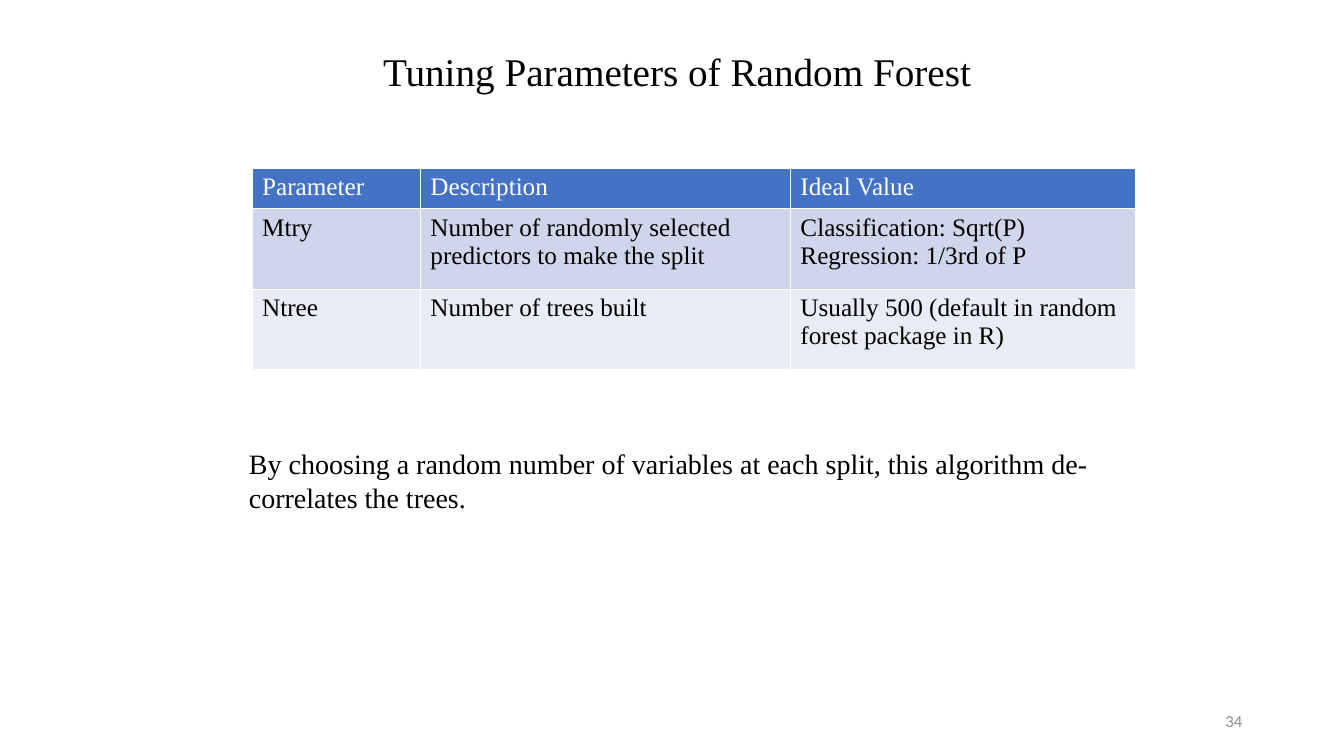
from typing import NamedTuple

from lxml import etree
from pptx import Presentation
from pptx.dml.color import RGBColor
from pptx.enum.text import MSO_ANCHOR, PP_ALIGN
from pptx.oxml.ns import qn
from pptx.util import Inches, Pt

LEFT, CENTER, RIGHT = PP_ALIGN.LEFT, PP_ALIGN.CENTER, PP_ALIGN.RIGHT
TOP, MIDDLE = MSO_ANCHOR.TOP, MSO_ANCHOR.MIDDLE
SERIF, SANS = "Times New Roman", "Calibri"
COLORS = {
    "black": "000000",
    "white": "FFFFFF",
    "gray": "8C8C8C",
    "head": "4472C4",
    "dark": "CFD5EA",
    "light": "E9EBF5",
}


class Label(NamedTuple):
    text: str
    left: float
    top: float
    width: float
    height: float
    size: int
    font: str = SERIF
    color: str = "black"
    align: PP_ALIGN = LEFT
    anchor: MSO_ANCHOR = TOP


class Row(NamedTuple):
    height: float
    fill: str
    color: str
    cells: tuple[str, ...]


LABELS = [
    Label("Tuning Parameters of Random Forest", 2.3, 0.42, 8.83, 0.57, 28,
          align=CENTER),
    Label("By choosing a random number of variables at each split, "
          "this algorithm de-correlates the trees.",
          2.37, 4.38, 8.67, 0.77, 20),
    Label("34", 9.42, 6.95, 3, 0.4, 12, SANS, "gray", RIGHT, MIDDLE),
]
WIDTHS = [1.67, 3.67, 3.42]
ROWS = [
    Row(0.4, "head", "white", ("Parameter", "Description", "Ideal Value")),
    Row(0.8, "dark", "black", (
        "Mtry",
        "Number of randomly selected predictors to make the split",
        "Classification: Sqrt(P)\nRegression: 1/3rd of P")),
    Row(0.8, "light", "black", (
        "Ntree",
        "Number of trees built",
        "Usually 500 (default in random forest package in R)")),
]


def rgb(name: str) -> RGBColor:
    return RGBColor.from_string(COLORS[name])


def write(frame, text: str, size: int, font: str, color: str,
          align: PP_ALIGN = LEFT) -> None:
    """Fill a text frame, one paragraph per line of text."""
    frame.text = text
    for para in frame.paragraphs:
        para.alignment = align
        para.font.size = Pt(size)
        para.font.name = font
        para.font.bold = False
        para.font.color.rgb = rgb(color)


def add_label(slide, label: Label) -> None:
    box = slide.shapes.add_textbox(
        Inches(label.left), Inches(label.top),
        Inches(label.width), Inches(label.height))
    frame = box.text_frame
    frame.word_wrap = True
    frame.vertical_anchor = label.anchor
    write(frame, label.text, label.size, label.font, label.color, label.align)


def add_edges(cell) -> None:
    """Draw a thin white line on all four sides of a cell."""
    props = cell._tc.get_or_add_tcPr()
    for side in ("lnL", "lnR", "lnT", "lnB"):
        line = etree.SubElement(props, qn(f"a:{side}"), w=str(Pt(1)))
        fill = etree.SubElement(line, qn("a:solidFill"))
        etree.SubElement(fill, qn("a:srgbClr"), val=COLORS["white"])


def add_grid(slide) -> None:
    height = sum(row.height for row in ROWS)
    table = slide.shapes.add_table(
        len(ROWS), len(WIDTHS), Inches(2.5), Inches(1.67),
        Inches(sum(WIDTHS)), Inches(height)).table
    for column, width in zip(table.columns, WIDTHS):
        column.width = Inches(width)
    for line, row in zip(table.rows, ROWS):
        line.height = Inches(row.height)
        for cell, text in zip(line.cells, row.cells):
            add_edges(cell)
            cell.fill.solid()
            cell.fill.fore_color.rgb = rgb(row.fill)
            write(cell.text_frame, text, 18, SERIF, row.color)


def main() -> None:
    deck = Presentation()
    deck.slide_width, deck.slide_height = Inches(13.33), Inches(7.5)
    slide = deck.slides.add_slide(deck.slide_layouts[6])
    add_grid(slide)
    for label in LABELS:
        add_label(slide, label)
    deck.save("out.pptx")


if __name__ == "__main__":
    main()
